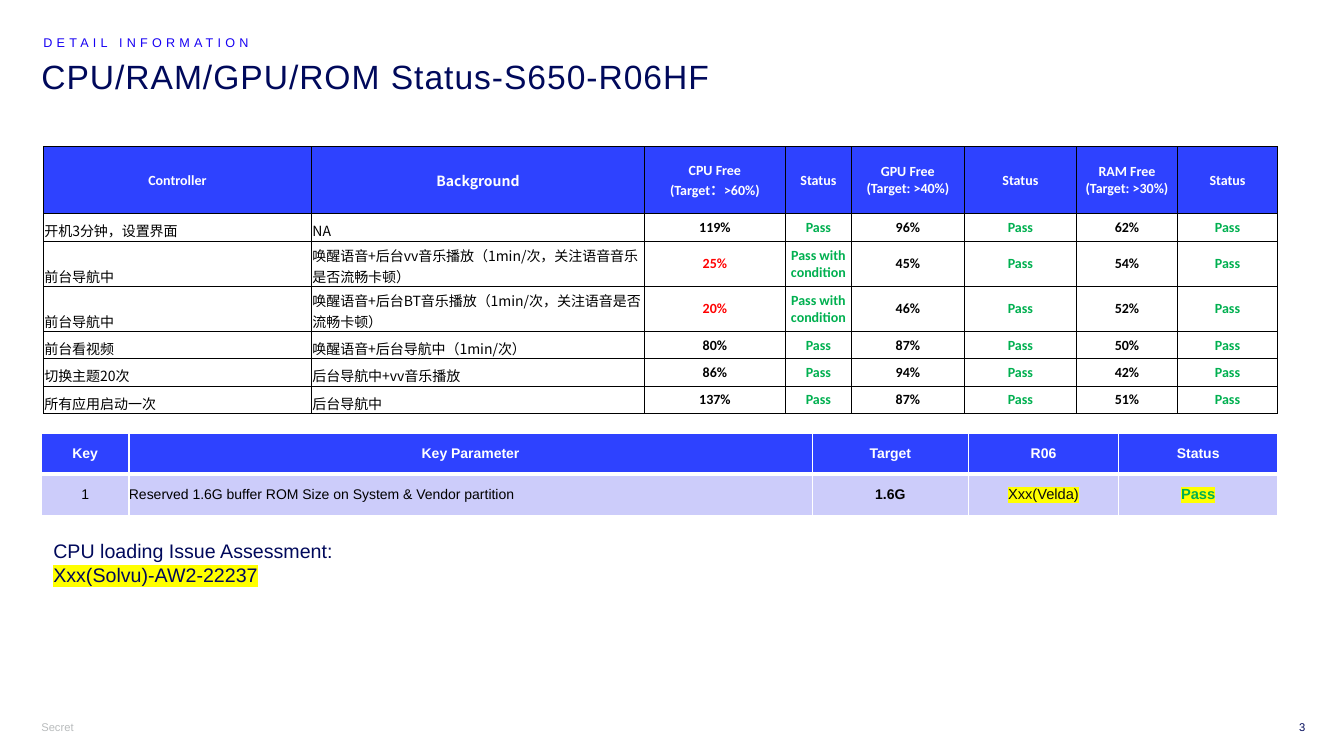
from lxml import etree
from pptx import Presentation
from pptx.dml.color import RGBColor
from pptx.enum.text import MSO_ANCHOR, MSO_AUTO_SIZE, PP_ALIGN
from pptx.oxml.ns import qn
from pptx.util import Pt

LEFT, CENTER, RIGHT = PP_ALIGN.LEFT, PP_ALIGN.CENTER, PP_ALIGN.RIGHT
TOP, MIDDLE, BOTTOM = MSO_ANCHOR.TOP, MSO_ANCHOR.MIDDLE, MSO_ANCHOR.BOTTOM
NO_AUTOFIT = MSO_AUTO_SIZE.NONE

BLUE, NAVY, LILAC = "2E42FF", "00095B", "CCCCFA"
WHITE, BLACK, GREEN, RED, YELLOW = "FFFFFF", "000000", "00B050", "FF0000", "FFFF00"
CJK = "Noto Sans CJK SC"

STATUS_COLS = [191.5, 237.8, 100.7, 47.2, 80.6, 80.2, 72, 71.7]
STATUS_ROWS = [48, 19.6, 32.2, 32.2, 19.6, 19.6, 19.6]
STATUS_HEADER = ["Controller", "Background", "CPU Free\n(Target：>60%)", "Status",
                 "GPU Free\n(Target: >40%)", "Status", "RAM Free\n(Target: >30%)", "Status"]
CONDITIONAL = "Pass with condition"
SCENARIOS = [
    ("开机3分钟，设置界面", "NA", "119%", "Pass", "96%", "62%"),
    ("前台导航中", "唤醒语音+后台vv音乐播放（1min/次，关注语音音乐是否流畅卡顿）",
     "25%", CONDITIONAL, "45%", "54%"),
    ("前台导航中", "唤醒语音+后台BT音乐播放（1min/次，关注语音是否流畅卡顿）",
     "20%", CONDITIONAL, "46%", "52%"),
    ("前台看视频", "唤醒语音+后台导航中（1min/次）", "80%", "Pass", "87%", "50%"),
    ("切换主题20次", "后台导航中+vv音乐播放", "86%", "Pass", "94%", "42%"),
    ("所有应用启动一次", "后台导航中", "137%", "Pass", "87%", "51%"),
]
KEY_COLS = [62.6, 488, 111.8, 107, 114]
KEY_HEADER = ["Key", "Key Parameter", "Target", "R06", "Status"]


def rgb(value):
    return RGBColor.from_string(value)


def add_highlight(run, color):
    run.font.color.rgb = rgb(color[0])
    highlight = etree.Element(qn("a:highlight"))
    etree.SubElement(highlight, qn("a:srgbClr"), val=color[1])
    run.font.fill._xPr.find(qn("a:solidFill")).addnext(highlight)


def write(frame, text, size, color, font="Arial", bold=False, align=LEFT,
          line_spacing=None, tracking=0, highlight=None):
    frame.text = text
    for paragraph in frame.paragraphs:
        paragraph.alignment = align
        if line_spacing:
            paragraph.line_spacing = line_spacing
        paragraph.font.name = font
        paragraph.font.size = Pt(size)
        paragraph.font.bold = bold
        paragraph.font.color.rgb = rgb(color)
        for run in paragraph.runs:
            properties = run._r.get_or_add_rPr()
            if tracking:
                properties.set("spc", str(int(tracking * 100)))
            if highlight:
                add_highlight(run, (color, highlight))
            etree.SubElement(properties, qn("a:ea"), typeface=CJK)


def place(holder, left, top, width, height, insets):
    holder.left, holder.top = Pt(left), Pt(top)
    holder.width, holder.height = Pt(width), Pt(height)
    frame = holder.text_frame
    frame.margin_left, frame.margin_top, frame.margin_right, frame.margin_bottom = map(Pt, insets)
    frame.auto_size = NO_AUTOFIT
    frame.word_wrap = True
    frame.vertical_anchor = TOP
    return frame


def add_label(slide, box, text, size, color, insets=(0, 3.6, 7.2, 3.6), **style):
    holder = slide.shapes.add_textbox(*map(Pt, box))
    write(place(holder, *box, insets), text, size, color, **style)
    return holder.text_frame


def add_grid(slide, left, top, widths, heights):
    frame = slide.shapes.add_table(len(heights), len(widths), Pt(left), Pt(top),
                                   Pt(sum(widths)), Pt(sum(heights)))
    grid = frame.table
    grid.first_row = grid.horz_banding = False
    for column, width in zip(grid.columns, widths):
        column.width = Pt(width)
    for row, height in zip(grid.rows, heights):
        row.height = Pt(height)
    return grid


def fill_cell(cell, text, fill, border, border_widths, inset, anchor=MIDDLE, **style):
    properties = cell._tc.get_or_add_tcPr()
    for side, width in zip("LRTB", border_widths):
        line = etree.SubElement(properties, qn(f"a:ln{side}"), w=str(Pt(width)))
        paint = etree.SubElement(line, qn("a:solidFill"))
        etree.SubElement(paint, qn("a:srgbClr"), val=border)
    cell.fill.solid()
    cell.fill.fore_color.rgb = rgb(fill)
    cell.margin_left = cell.margin_right = cell.margin_top = Pt(inset)
    cell.margin_bottom = 0
    cell.vertical_anchor = anchor
    write(cell.text_frame, text, **style)


def add_status_table(slide):
    grid = add_grid(slide, 31, 104.6, STATUS_COLS, STATUS_ROWS)
    edges = dict(border=BLACK, border_widths=[0.5] * 4, inset=0.7)
    for c, heading in enumerate(STATUS_HEADER):
        fill_cell(grid.cell(0, c), heading, BLUE, **edges, size=10, color=WHITE,
                  font=CJK if c == 1 else "Calibri", bold=True, align=CENTER)
    for r, (controller, background, cpu, cpu_status, gpu, ram) in enumerate(SCENARIOS, 1):
        for c, text in enumerate((controller, background)):
            fill_cell(grid.cell(r, c), text, WHITE, **edges, anchor=BOTTOM,
                      size=10, color=BLACK, font=CJK)
        results = [cpu, cpu_status, gpu, "Pass", ram, "Pass"]
        for c, text in enumerate(results, 2):
            if text.startswith("Pass"):
                color = GREEN
            else:
                color = RED if c == 2 and cpu_status == CONDITIONAL else BLACK
            fill_cell(grid.cell(r, c), text, WHITE, **edges, size=10, color=color,
                      font="Calibri", bold=True, align=CENTER)


def add_key_table(slide):
    grid = add_grid(slide, 29.5, 309.6, KEY_COLS, [29.2, 29.2])
    for c, heading in enumerate(KEY_HEADER):
        fill_cell(grid.cell(0, c), heading, BLUE, WHITE, [1, 1, 1, 3], 0,
                  size=10, color=WHITE, bold=True, align=CENTER)
    rom_check = [
        ("1", dict(size=10, color=BLACK, align=CENTER)),
        ("Reserved 1.6G buffer ROM Size on System & Vendor partition",
         dict(size=10, color=BLACK)),
        ("1.6G", dict(size=10, color=BLACK, bold=True, align=CENTER)),
        ("Xxx(Velda)", dict(size=10.5, color="0D0D0D", align=CENTER, highlight=YELLOW)),
        ("Pass", dict(size=10.5, color=GREEN, bold=True, align=CENTER, highlight=YELLOW)),
    ]
    for c, (text, style) in enumerate(rom_check):
        fill_cell(grid.cell(1, c), text, LILAC, WHITE, [1, 1, 3, 1], 0, **style)


def add_assessment(slide):
    frame = add_label(slide, (31, 381.6, 831, 41), "CPU loading Issue Assessment:\nXxx(Solvu)-AW2-22237",
                      14, NAVY, insets=(7.2, 3.6, 7.2, 3.6))
    add_highlight(frame.paragraphs[1].runs[0], (NAVY, YELLOW))


def main():
    deck = Presentation()
    deck.slide_width, deck.slide_height = Pt(960), Pt(540)
    slide = deck.slides.add_slide(deck.slide_layouts[5])
    title = place(slide.shapes.title, 29.5, 39.6, 828, 54, (0, 3.6, 7.2, 3.6))
    write(title, "CPU/RAM/GPU/ROM Status-S650-R06HF", 24, NAVY, line_spacing=0.9, tracking=0.7)
    add_label(slide, (31, 22.3, 428, 16), "DETAIL INFORMATION", 9, "1700F3",
              line_spacing=0.9, tracking=3)
    add_key_table(slide)
    add_status_table(slide)
    add_assessment(slide)
    add_label(slide, (29.5, 511.2, 31, 17), "Secret", 8, "B9BCBD")
    add_label(slide, (907.2, 511.2, 25.2, 17), "3", 8, NAVY, insets=(0, 3.6, 0, 3.6), align=RIGHT)
    deck.save("out.pptx")


if __name__ == "__main__":
    main()
